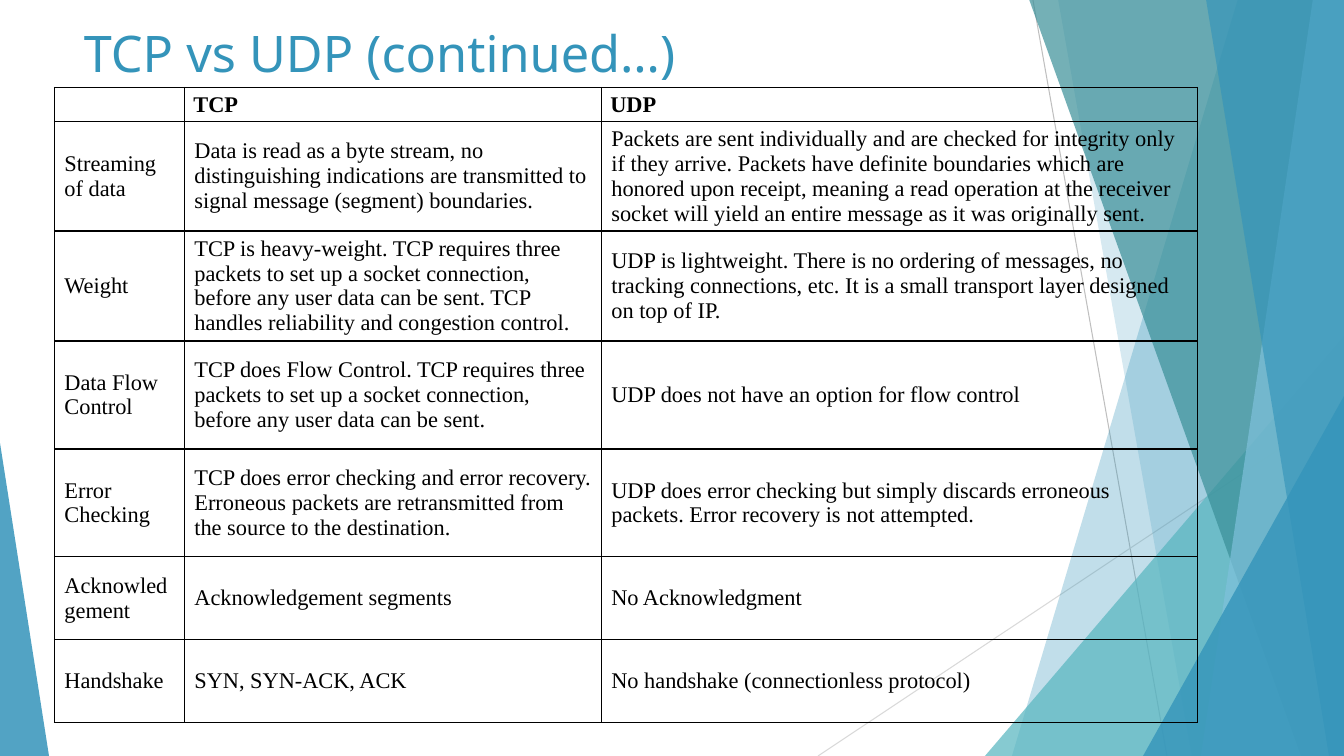
from lxml import etree
from pptx import Presentation
from pptx.dml.color import RGBColor
from pptx.enum.shapes import MSO_CONNECTOR, MSO_SHAPE
from pptx.enum.text import MSO_ANCHOR
from pptx.oxml.ns import qn
from pptx.util import Pt

STRAIGHT = MSO_CONNECTOR.STRAIGHT
TRIANGLE = MSO_SHAPE.ISOSCELES_TRIANGLE
MIDDLE = MSO_ANCHOR.MIDDLE
EMU_PER_PIXEL = 914400 / 100.8
WIDTH, HEIGHT = 1344, 756
BLUE, TEAL, BLACK = "3494BA", "58B6C0", "000000"

TITLE = "TCP vs UDP (continued…)"
COLUMN_WIDTHS = [130, 417, 596]
ROW_HEIGHTS = [34, 109, 110, 108, 108, 83, 83]
ROWS = [
    ("", "TCP", "UDP"),
    ("Streaming of data",
     "Data is read as a byte stream, no distinguishing indications are transmitted "
     "to signal message (segment) boundaries.",
     "Packets are sent individually and are checked for integrity only if they arrive. "
     "Packets have definite boundaries which are honored upon receipt, meaning a read "
     "operation at the receiver socket will yield an entire message as it was originally sent."),
    ("Weight",
     "TCP is heavy-weight. TCP requires three packets to set up a socket connection, "
     "before any user data can be sent. TCP handles reliability and congestion control.",
     "UDP is lightweight. There is no ordering of messages, no tracking connections, etc. "
     "It is a small transport layer designed on top of IP."),
    ("Data Flow Control",
     "TCP does Flow Control. TCP requires three packets to set up a socket connection, "
     "before any user data can be sent.",
     "UDP does not have an option for flow control"),
    ("Error Checking",
     "TCP does error checking and error recovery. Erroneous packets are retransmitted "
     "from the source to the destination.",
     "UDP does error checking but simply discards erroneous packets. "
     "Error recovery is not attempted."),
    ("Acknowledgement", "Acknowledgement segments", "No Acknowledgment"),
    ("Handshake", "SYN, SYN-ACK, ACK", "No handshake (connectionless protocol)"),
]
RAYS = [
    ((1033, 0, 1167, HEIGHT), "BFBFBF"),
    ((WIDTH, 406, 818, HEIGHT), "D9D9D9"),
]
BACK_BANDS = [(1238, 1012, BLUE, 30), (1058, 1192, BLUE, 20)]
BACK_TRIANGLES = [((985, 336, 359, 420), 1, TEAL, 72)]
FRONT_BANDS = [
    (1029, 1301, "3A8F98", 70),
    (1313, 1201, "7FC1DB", 70),
    (1206, 1329, BLUE, 65),
]
FRONT_TRIANGLES = [
    ((1143, 396, 201, 360), 1, BLUE, 80),
    ((0, 443, 49, 313), 0, BLUE, 85),
]


def px(*values):
    return [round(value * EMU_PER_PIXEL) for value in values]


def color(value):
    return RGBColor.from_string(value)


def style_facet(shape, fill, opacity):
    shape.shadow.inherit = False
    shape.fill.solid()
    shape.fill.fore_color.rgb = color(fill)
    shape.line.fill.background()
    tone = shape._element.spPr.find(".//" + qn("a:srgbClr"))
    etree.SubElement(tone, qn("a:alpha"), val=str(opacity * 1000))


def add_bands(bands):
    for top_x, bottom_x, fill, opacity in bands:
        corners = [(top_x, -1), (WIDTH, -1), (WIDTH, HEIGHT), (bottom_x, HEIGHT)]
        points = [px(*corner) for corner in corners]
        builder = slide.shapes.build_freeform(*points[0])
        builder.add_line_segments(points[1:], close=True)
        style_facet(builder.convert_to_shape(), fill, opacity)


def add_triangles(triangles):
    for box, apex, fill, opacity in triangles:
        shape = slide.shapes.add_shape(TRIANGLE, *px(*box))
        shape.adjustments[0] = apex
        style_facet(shape, fill, opacity)


def style_text(paragraph, name, size, tone, bold=False):
    for run in paragraph.runs:
        run.font.name = name
        run.font.size = Pt(size)
        run.font.bold = bold
        run.font.color.rgb = color(tone)


def add_borders(cell, widths):
    properties = cell._tc.get_or_add_tcPr()
    for position, (side, width) in enumerate(widths.items()):
        border = etree.Element(qn("a:" + side), w=str(Pt(width)))
        fill = etree.SubElement(border, qn("a:solidFill"))
        etree.SubElement(fill, qn("a:srgbClr"), val=BLACK)
        properties.insert(position, border)


presentation = Presentation()
presentation.slide_width, presentation.slide_height = px(WIDTH, HEIGHT)
slide = presentation.slides.add_slide(presentation.slide_layouts[6])

for ends, tone in RAYS:
    ray = slide.shapes.add_connector(STRAIGHT, *px(*ends))
    ray.line.color.rgb = color(tone)
    ray.line.width = Pt(0.75)
    etree.SubElement(ray._element.spPr, qn("a:effectLst"))

add_bands(BACK_BANDS)
add_triangles(BACK_TRIANGLES)
add_bands(FRONT_BANDS)
add_triangles(FRONT_TRIANGLES)

title = slide.shapes.add_textbox(*px(74, 17, 948, 145))
title.text_frame.word_wrap = True
title.text_frame.text = TITLE
style_text(title.text_frame.paragraphs[0], "Noto Sans", 36, BLUE)

box = px(54.5, 87.5, sum(COLUMN_WIDTHS), sum(ROW_HEIGHTS))
table = slide.shapes.add_table(len(ROWS), len(COLUMN_WIDTHS), *box).table
for column, width in zip(table.columns, px(*COLUMN_WIDTHS)):
    column.width = width
for row, height in zip(table.rows, px(*ROW_HEIGHTS)):
    row.height = height

for row_index, texts in enumerate(ROWS):
    header = row_index == 0
    rule_above = 1.5 if row_index == 1 else 1
    rule_below = 1.5 if header else 1
    for column_index, text in enumerate(texts):
        cell = table.cell(row_index, column_index)
        cell.text = text
        cell.vertical_anchor = MIDDLE
        side, edge = px(9, 3) if header else px(10, 1)
        cell.margin_left = cell.margin_right = side
        cell.margin_top = cell.margin_bottom = edge
        cell.fill.background()
        add_borders(cell, {"lnL": 1, "lnR": 1, "lnT": rule_above, "lnB": rule_below})
        paragraph = cell.text_frame.paragraphs[0]
        style_text(paragraph, "Times New Roman", 16, BLACK, header)
        if not text:
            etree.SubElement(paragraph._p, qn("a:endParaRPr"), sz="1600")

presentation.save("out.pptx")
